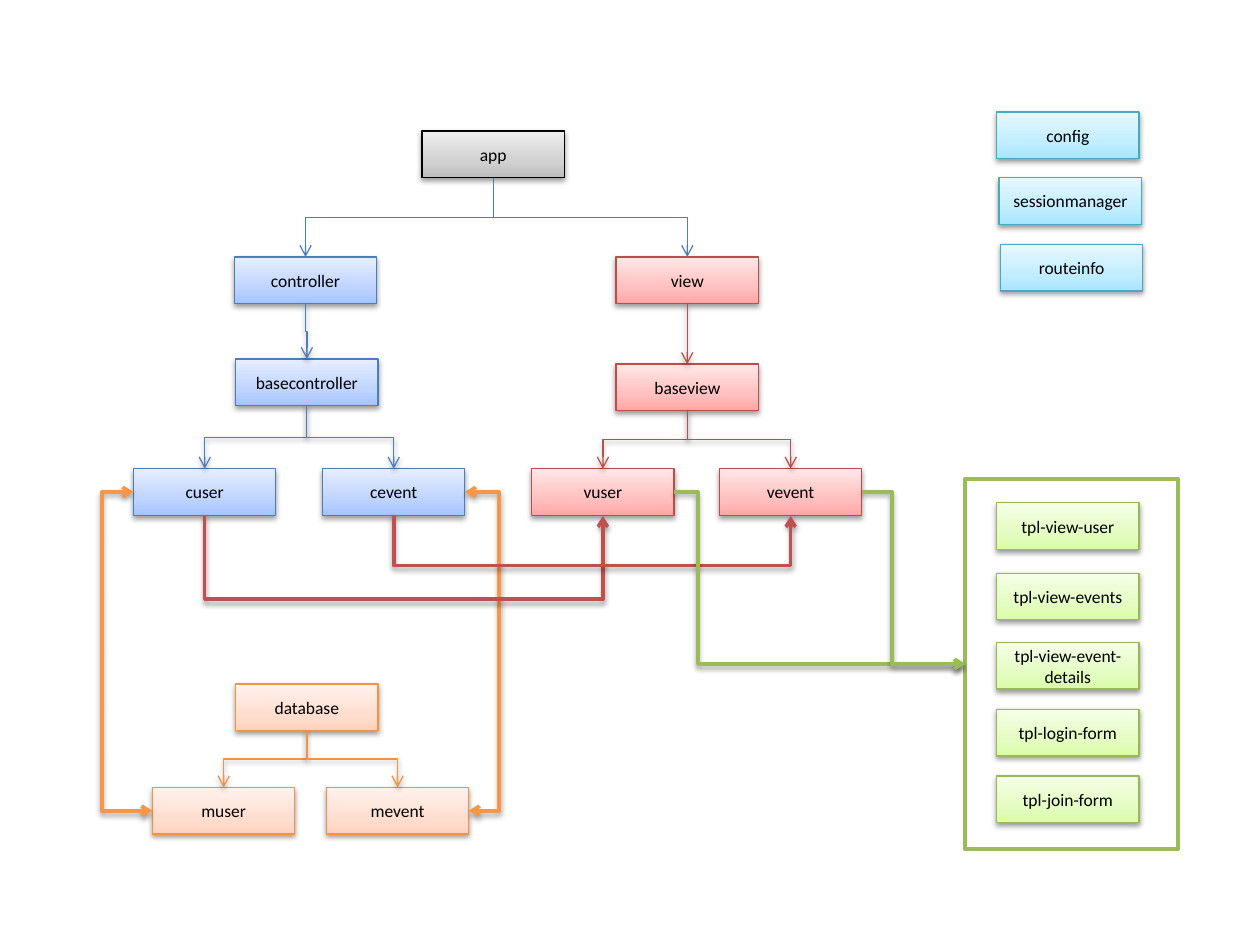
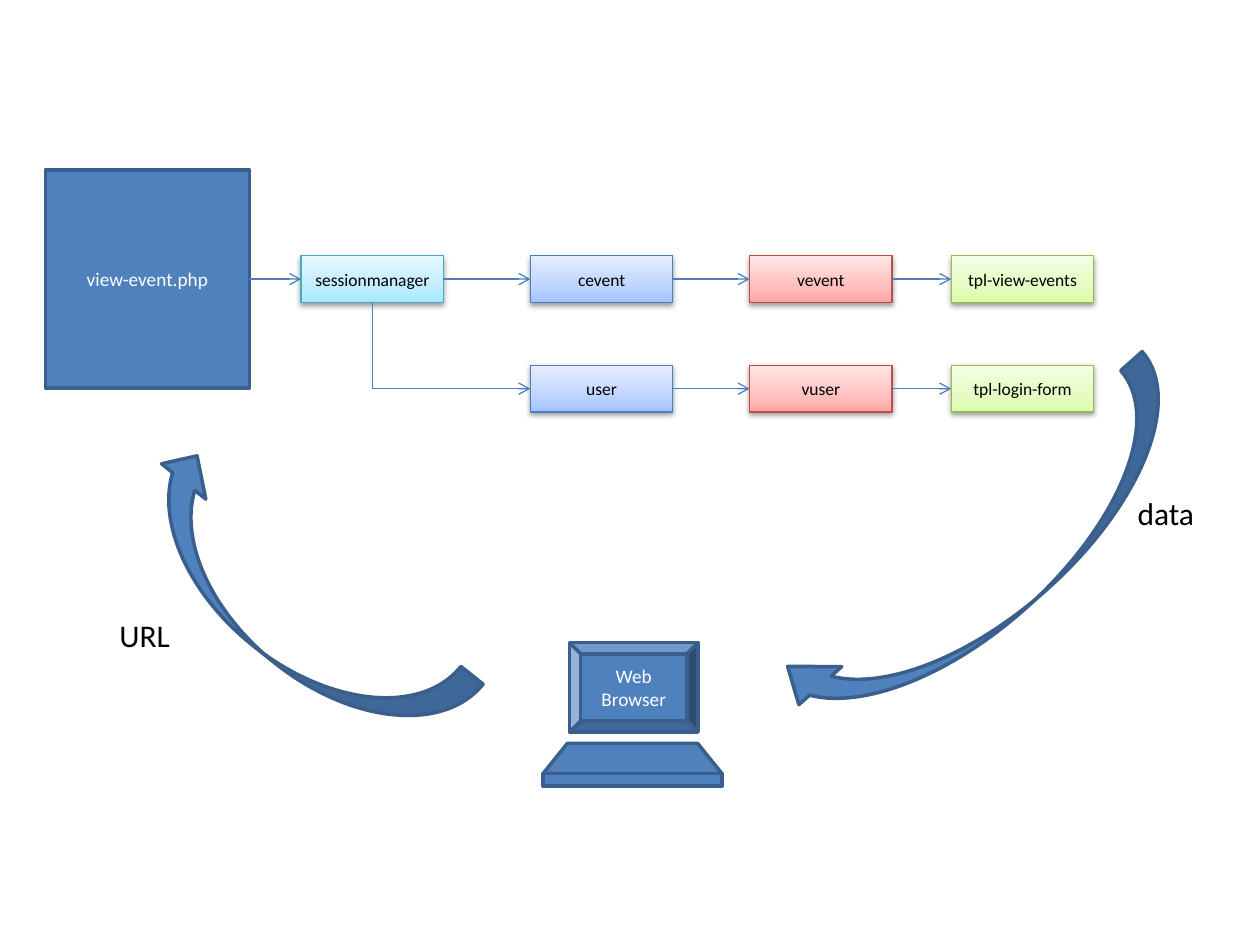
import copy

import pptx
import pptx.dml.color
import pptx.enum.dml
import pptx.enum.shapes
import pptx.enum.text
import pptx.oxml.ns
import pptx.util
from pptx.util import Inches

SHAPE = pptx.enum.shapes.MSO_SHAPE
CONNECTOR = pptx.enum.shapes.MSO_CONNECTOR
FONT = "Calibri"
NODE_WIDTH, NODE_HEIGHT = 1.13, 0.37
BLUE, BLUE_EDGE = "4F81BD", "3A5F8C"
GREEN, RED, ORANGE = "9BBB59", "C0504D", "F79646"
# Each role: edge colour, then gradient colours from bottom to top
ROLES = {
    "app": ("000000", "BDBDBD", "D1D1D1", "EEEEEE"),
    "controller": ("4B7EBC", "A4C4FF", "BFD4FF", "E6EEFF"),
    "view": ("BF4C48", "FFA6A5", "FFC0BF", "FFE7E7"),
    "helper": ("46AAC5", "A7E6FF", "C1EDFF", "E7F8FF"),
    "model": ("F69240", "FFD2BD", "FFDED0", "FFF2ED"),
    "template": ("98B955", "DAFDA7", "E4FCC2", "F5FFE7"),
}


def rgb(value):
    """Turn a hex string into a colour."""
    return pptx.dml.color.RGBColor.from_string(value)


def add_element(parent, tag, **attributes):
    """Append a drawing element with attributes to a parent."""
    child = parent.makeelement(pptx.oxml.ns.qn(tag), {})
    for name, value in attributes.items():
        child.set(name, str(value))
    parent.append(child)
    return child


def add_shadow(effects):
    """Put the soft drop shadow into an effect list."""
    shadow = add_element(effects, "a:outerShdw", blurRad=40000, dist=20000,
                         dir=5400000, rotWithShape=0)
    colour = add_element(shadow, "a:srgbClr", val="000000")
    add_element(colour, "a:alpha", val=38000)


def write(shape, text, size, colour, align=pptx.enum.text.PP_ALIGN.CENTER):
    """Set a one-paragraph text and format it."""
    frame = shape.text_frame
    frame.word_wrap = True
    frame.vertical_anchor = pptx.enum.text.MSO_ANCHOR.MIDDLE
    frame.text = text
    para = frame.paragraphs[0]
    para.alignment = align
    font = para.runs[0].font
    font.name, font.size = FONT, pptx.util.Pt(size)
    font.color.rgb = rgb(colour)


def add_block(page, preset, box, fill=BLUE, edge=BLUE_EDGE, text=None):
    """Add a flat shape with a 2 point outline."""
    shape = page.shapes.add_shape(preset, *map(Inches, box))
    shape.fill.solid()
    shape.fill.fore_color.rgb = rgb(fill)
    shape.line.color.rgb = rgb(edge)
    shape.line.width = pptx.util.Pt(2)
    shape.shadow.inherit = False
    if text:
        write(shape, text, 11, "FFFFFF")
    return shape


def add_node(page, role, text, left, top):
    """Add a gradient box coloured by its role."""
    edge, *colours = ROLES[role]
    node = page.shapes.add_shape(SHAPE.RECTANGLE, Inches(left), Inches(top),
                                 Inches(NODE_WIDTH), Inches(NODE_HEIGHT))
    node.fill.gradient()
    node.fill.gradient_angle = 90
    properties = node.element.spPr
    stops = properties.find(".//" + pptx.oxml.ns.qn("a:gsLst"))
    stops.append(copy.deepcopy(stops[0]))
    for stop, colour, place in zip(node.fill.gradient_stops, colours, (0, 0.35, 1)):
        stop.color.rgb = rgb(colour)
        stop.position = place
    node.line.color.rgb = rgb(edge)
    node.line.width = pptx.util.Pt(0.75)
    node.shadow.inherit = False
    add_shadow(properties.find(pptx.oxml.ns.qn("a:effectLst")))
    write(node, text, 10, "000000")
    return node


def port(shape, side):
    """Return the middle of one side of a shape."""
    across, down = {"left": (0, 0.5), "right": (1, 0.5),
                    "top": (0.5, 0), "bottom": (0.5, 1)}[side]
    return (int(shape.left + across * shape.width),
            int(shape.top + down * shape.height))


def style_link(link, colour, width=0.75, shadow=True, both=False):
    """Give a connector its colour, arrowheads and effects."""
    link.line.color.rgb = rgb(colour)
    link.line.width = pptx.util.Pt(width)
    line = link.line._get_or_add_ln()
    if both:
        add_element(line, "a:headEnd", type="arrow")
    add_element(line, "a:tailEnd", type="arrow")
    effects = add_element(link.element.spPr, "a:effectLst")
    if shadow:
        add_shadow(effects)


def straight(page, source, target):
    """Draw an arrow to the right between neighbouring shapes."""
    x, y = port(source, "right")
    end_x, _ = port(target, "left")
    link = page.shapes.add_connector(CONNECTOR.STRAIGHT, x, y, end_x, y)
    style_link(link, ROLES["controller"][0], shadow=False)


def elbow(page, start, end, colour, vertical=False, bend=None, corner=False, **style):
    """Draw a bent arrow; bend is the length in inches of its first leg."""
    (x, y), (end_x, end_y) = start, end
    run = end_x - x
    if vertical:
        # A connector leaves sideways, so a downward one is turned a quarter
        run = max(end_y - y, Inches(0.01))
        rise = abs(end_x - x)
        left = (x + end_x - run) // 2
        top = (y + end_y - rise) // 2
        link = page.shapes.add_connector(CONNECTOR.ELBOW, left, top,
                                         left + run, top + rise)
        transform = link.element.spPr.find(pptx.oxml.ns.qn("a:xfrm"))
        transform.set("rot", "5400000" if end_x < x else "16200000")
        if end_x >= x:
            transform.set("flipH", "1")
    else:
        link = page.shapes.add_connector(CONNECTOR.ELBOW, x, y, end_x, end_y)
    geometry = link.element.spPr.find(pptx.oxml.ns.qn("a:prstGeom"))
    if corner:
        geometry.set("prst", "bentConnector2")
    if bend is not None:
        guides = geometry.find(pptx.oxml.ns.qn("a:avLst"))
        ratio = round(Inches(bend) / run * 100000)
        add_element(guides, "a:gd", name="adj1", fmla=f"val {ratio}")
    style_link(link, colour, **style)


def branch(page, parent, children, colour, **style):
    """Link a parent down to each of its children."""
    for child in children:
        elbow(page, port(parent, "bottom"), port(child, "top"), colour,
              vertical=True, **style)


def add_nodes(page, box, entries):
    """Place nodes given as (role, text, left, top) inside a box; return them by text."""
    return {text: add_node(page, role, text, box[0] + left, box[1] + top)
            for role, text, left, top in entries}


def application_tree(page, box):
    """Draw the app with its controller and view families."""
    nodes = add_nodes(page, box, [
        ("app", "app", 2.29, 0),
        ("controller", "controller", 0.8, 1), ("view", "view", 3.83, 1),
        ("controller", "basecontroller", 0.81, 1.81), ("view", "baseview", 3.83, 1.85),
        ("controller", "cuser", 0, 2.68), ("controller", "cevent", 1.5, 2.68),
        ("view", "vuser", 3.16, 2.68), ("view", "vevent", 4.65, 2.68)])
    blue, red = ROLES["controller"][0], ROLES["view"][0]
    branch(page, nodes["app"], [nodes["controller"], nodes["view"]], blue, shadow=False)
    for parent, children, colour in [
            ("controller", ["basecontroller"], blue), ("view", ["baseview"], red),
            ("basecontroller", ["cuser", "cevent"], blue),
            ("baseview", ["vuser", "vevent"], red)]:
        branch(page, nodes[parent], [nodes[name] for name in children], colour)
    return nodes


def database_tree(page, box):
    """Draw the database and its two models."""
    nodes = add_nodes(page, box, [("model", "database", 0.66, 0),
                                  ("model", "muser", 0, 0.82),
                                  ("model", "mevent", 1.38, 0.82)])
    branch(page, nodes["database"], [nodes["muser"], nodes["mevent"]], ROLES["model"][0])
    return nodes


def helper_column(page, box):
    """Stack the shared helpers."""
    add_nodes(page, box, [("helper", "config", 0, 0),
                          ("helper", "sessionmanager", 0.02, 0.52),
                          ("helper", "routeinfo", 0.03, 1.05)])


def template_panel(page, box):
    """Draw the framed list of templates and return the frame."""
    frame = add_block(page, SHAPE.RECTANGLE, box, "FFFFFF", GREEN)
    tops = {"tpl-view-user": 0.19, "tpl-view-events": 0.75,
            "tpl-view-event-details": 1.3, "tpl-login-form": 1.83,
            "tpl-join-form": 2.36}
    add_nodes(page, box, [("template", text, 0.25, top) for text, top in tops.items()])
    return frame


def cross_links(page, nodes, panel):
    """Link controllers to models and views, and views to templates."""
    for source, target, side, bend in [("cuser", "muser", "left", -0.25),
                                       ("cevent", "mevent", "right", 0.27)]:
        elbow(page, port(nodes[source], side), port(nodes[target], side), ORANGE,
              bend=bend, width=2, both=True)
    for source, target, bend in [("cuser", "vuser", 0.68), ("cevent", "vevent", 0.41)]:
        elbow(page, port(nodes[source], "bottom"), port(nodes[target], "bottom"), RED,
              vertical=True, bend=bend, width=2)
    for source, bend in [("vuser", 0.19), ("vevent", 0.24)]:
        elbow(page, port(nodes[source], "right"), port(panel, "left"), GREEN,
              bend=bend, width=2)


def request_flow(page, box):
    """Draw the requested page and the two rows of steps it runs."""
    left, top = box[:2]
    script = add_block(page, SHAPE.RECTANGLE, (left, top, 1.62, 1.73),
                       text="view-event.php")
    session = add_node(page, "helper", "sessionmanager", left + 2.03, top + 0.68)
    rows = []
    for row_top, names in [(0.68, ("cevent", "vevent", "tpl-view-events")),
                           (1.55, ("user", "vuser", "tpl-login-form"))]:
        steps = zip(("controller", "view", "template"), names, (3.85, 5.59, 7.19))
        rows.append([add_node(page, role, name, left + x, top + row_top)
                     for role, name, x in steps])
    for row in rows:
        for source, target in zip(row, row[1:]):
            straight(page, source, target)
    straight(page, session, rows[0][0])
    x, y = port(script, "right")
    elbow_start = port(session, "bottom")
    session_x, session_y = port(session, "left")
    link = page.shapes.add_connector(CONNECTOR.STRAIGHT, x, session_y, session_x, session_y)
    style_link(link, ROLES["controller"][0], shadow=False)
    elbow(page, elbow_start, port(rows[1][0], "left"), ROLES["controller"][0],
          vertical=True, corner=True, shadow=False)


def web_browser(page, box):
    """Draw a computer from a screen, a keyboard and its front edge."""
    left, top, width, _ = box
    add_block(page, SHAPE.BEVEL, (left + 0.21, top, 1.02, 0.71), text="Web Browser")
    keyboard = add_block(page, SHAPE.TRAPEZOID, (left, top + 0.8, width, 0.24))
    keyboard.adjustments[0] = 0.804
    add_block(page, SHAPE.RECTANGLE, (left, top + 1.04, width, 0.1))


def swoosh(page, box, turn, head=0.25):
    """Draw a mirrored and turned curved arrow."""
    arrow = add_block(page, SHAPE.CURVED_RIGHT_ARROW, box)
    arrow.adjustments[2] = head
    arrow.rotation = turn
    arrow.element.spPr.find(pptx.oxml.ns.qn("a:xfrm")).set("flipH", "1")


def caption(page, box, text):
    """Add a large label beside a curved arrow."""
    label = page.shapes.add_textbox(*map(Inches, box))
    write(label, text, 18, "000000", pptx.enum.text.PP_ALIGN.LEFT)
    frame = label.text_frame
    frame.word_wrap = False
    frame.vertical_anchor = pptx.enum.text.MSO_ANCHOR.TOP
    frame.auto_size = pptx.enum.text.MSO_AUTO_SIZE.SHAPE_TO_FIT_TEXT


def structure_slide(page):
    """Build the overview of modules."""
    panel = template_panel(page, (7.66, 3.8, 1.69, 2.94))
    nodes = application_tree(page, (1.06, 1.04, 5.78, 3.05))
    nodes.update(database_tree(page, (1.21, 5.43, 2.51, 1.19)))
    helper_column(page, (7.91, 0.89, 1.16, 1.42))
    cross_links(page, nodes, panel)


def request_slide(page):
    """Build the round trip of one request."""
    request_flow(page, (0.36, 1.35, 8.32, 1.92))
    swoosh(page, (1.88, 3.24, 0.9, 3.13), 128.6)
    swoosh(page, (7.42, 2.46, 0.91, 3.99), 48.4, 0.315)
    caption(page, (0.85, 4.84, 0.63, 0.4), "URL")
    caption(page, (8.93, 3.87, 0.77, 0.4), "data")
    web_browser(page, (4.31, 5.1, 1.42, 1.14))


deck = pptx.Presentation()
deck.slide_width, deck.slide_height = Inches(10), Inches(7.5)
for build in (structure_slide, request_slide):
    build(deck.slides.add_slide(deck.slide_layouts[6]))
deck.save("out.pptx")
